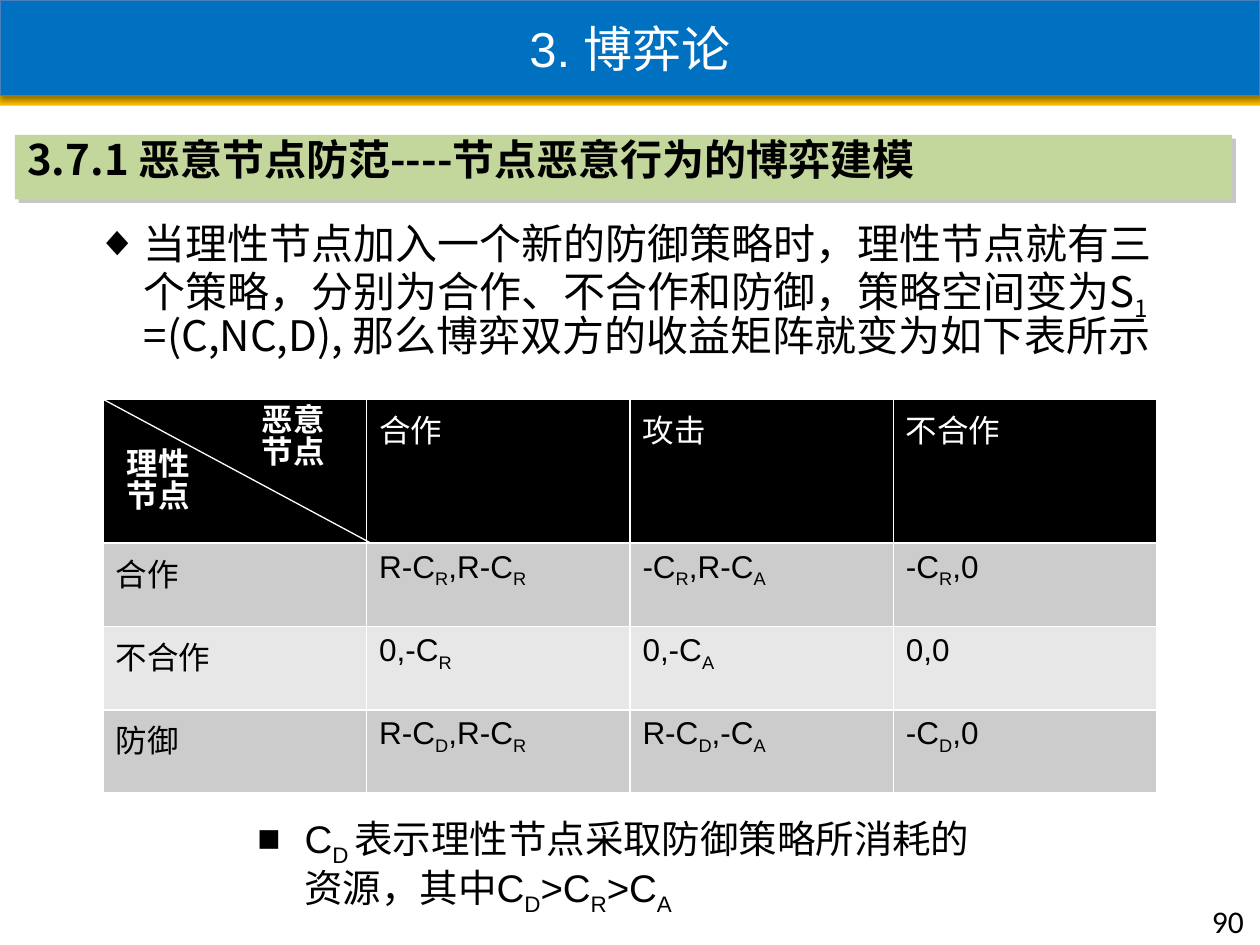
from collections import namedtuple
from lxml.etree import SubElement
from pptx import Presentation
from pptx.dml.color import RGBColor
from pptx.enum.shapes import MSO_CONNECTOR, MSO_SHAPE
from pptx.enum.text import MSO_ANCHOR, PP_ALIGN
from pptx.oxml.ns import qn
from pptx.util import Cm, Pt

Box = namedtuple("Box", "left top width height")
CJK = "Noto Sans CJK SC"
BLACK, WHITE = "000000", "FFFFFF"
HEADER = ["", "合作", "攻击", "不合作"]
PAYOFFS = [
    ["合作", "R-C|R|,R-C|R", "-C|R|,R-C|A", "-C|R|,0"],
    ["不合作", "0,-C|R", "0,-C|A", "0,0"],
    ["防御", "R-C|D|,R-C|R", "R-C|D|,-C|A", "-C|D|,0"],
]


def color(value):
    """Turn a hex string into a colour."""
    return RGBColor.from_string(value)


def lengths(box):
    """Give the four measures of a box in centimetres."""
    return [Cm(value) for value in box]


def add_runs(para, text, size, font, ink=BLACK, bold=False):
    """Write text run by run; every second part between bars is a subscript."""
    for index, part in enumerate(text.split("|")):
        span = para.add_run()
        span.text = part
        span.font.size = Pt(size)
        span.font.name = font
        span.font.bold = bold
        span.font.color.rgb = color(ink)
        properties = span.font._element
        SubElement(properties, qn("a:ea"), typeface=CJK)
        if index % 2:
            properties.set("baseline", "-25000")


def add_text(page, box, text, size, font, spacing=1.0, **style):
    """Place a wrapped text box and return its paragraph."""
    frame = page.shapes.add_textbox(*lengths(box)).text_frame
    frame.word_wrap = True
    para = frame.paragraphs[0]
    para.line_spacing = spacing
    add_runs(para, text, size, font, **style)
    return para


def add_bullet(para, mark, margin):
    """Give a paragraph a hanging bullet."""
    properties = para._p.get_or_add_pPr()
    properties.set("marL", str(Cm(margin)))
    properties.set("indent", str(-Cm(0.95)))
    SubElement(properties, qn("a:buFont"), typeface="Arial")
    SubElement(properties, qn("a:buChar"), char=mark)


def add_shadow(shape, shade, alpha, blur, distance, angle):
    """Give a shape an outer shadow."""
    shape.shadow.inherit = False
    effects = shape._element.spPr.find(qn("a:effectLst"))
    outer = SubElement(effects, qn("a:outerShdw"), blurRad=str(Pt(blur)),
                       dist=str(Pt(distance)), dir=str(angle * 60000),
                       algn="ctr", rotWithShape="0")
    tint = SubElement(outer, qn("a:srgbClr"), val=shade)
    SubElement(tint, qn("a:alpha"), val=str(alpha * 1000))


def add_bar(page, box, fill):
    """Place a plain filled rectangle."""
    bar = page.shapes.add_shape(MSO_SHAPE.RECTANGLE, *lengths(box))
    bar.shadow.inherit = False
    bar.fill.solid()
    bar.fill.fore_color.rgb = color(fill)
    bar.line.fill.background()
    return bar


def build_title(page, box):
    """Format the title as a blue band above a gold strip."""
    add_bar(page, Box(box.left, box.top + box.height, box.width, 0.2), "FFC000")
    title = page.shapes.title
    title.left, title.top, title.width, title.height = lengths(box)
    title.fill.solid()
    title.fill.fore_color.rgb = color("0070C0")
    title.line.color.rgb = color("4B7EBC")
    title.line.width = Pt(0.75)
    add_shadow(title, BLACK, 38, 3.1, 1.6, 90)
    title.text_frame.vertical_anchor = MSO_ANCHOR.MIDDLE
    para = title.text_frame.paragraphs[0]
    para.alignment = PP_ALIGN.CENTER
    add_runs(para, "3. 博弈论", 28, "Arial", WHITE)
    page.shapes._spTree.append(title._element)


def build_heading(page, box):
    """Place the green section heading."""
    bar = add_bar(page, box, "C3D69B")
    add_shadow(bar, "808080", 43, 0, 3, 45)
    bar.text_frame.vertical_anchor = MSO_ANCHOR.TOP
    para = bar.text_frame.paragraphs[0]
    para.alignment = PP_ALIGN.LEFT
    para.line_spacing = 0.85
    add_runs(para, "3.7.1 恶意节点防范----节点恶意行为的博弈建模", 24, CJK, bold=True)


def add_borders(cell):
    """Draw thin white borders around a table cell."""
    properties = cell._tc.get_or_add_tcPr()
    for position, side in enumerate(("lnL", "lnR", "lnT", "lnB")):
        line = SubElement(properties, qn(f"a:{side}"), w=str(Pt(1)))
        SubElement(SubElement(line, qn("a:solidFill")), qn("a:srgbClr"), val=WHITE)
        properties.insert(position, line)


def build_matrix(page, box):
    """Place the payoff table with its split corner cell."""
    rows = [HEADER] + PAYOFFS
    head = 2.9
    table = page.shapes.add_table(len(rows), len(HEADER), *lengths(box)).table
    for column in table.columns:
        column.width = Cm(box.width / len(HEADER))
    for number, texts in enumerate(rows):
        body = (box.height - head) / len(PAYOFFS)
        table.rows[number].height = Cm(body if number else head)
        fill = ("CCCCCC" if number % 2 else "E7E7E7") if number else BLACK
        for cell, text in zip(table.rows[number].cells, texts):
            cell.fill.solid()
            cell.fill.fore_color.rgb = color(fill)
            add_borders(cell)
            if text:
                add_runs(cell.text_frame.paragraphs[0], text, 18, "Arial",
                         BLACK if number else WHITE)
    diagonal = page.shapes.add_connector(
        MSO_CONNECTOR.STRAIGHT, Cm(box.left), Cm(box.top),
        Cm(box.left + 5.4), Cm(box.top + head))
    diagonal.line.color.rgb = color(WHITE)
    diagonal.line.width = Pt(0.75)
    SubElement(diagonal._element.spPr, qn("a:effectLst"))
    for text, right, down, width in (("理性节点", 0.23, 0.9, 2.3),
                                     ("恶意节点", 2.95, 0, 2.08)):
        label = Box(box.left + right, box.top + down, width, 1.8)
        add_text(page, label, text, 18, "Cabin", 0.85, ink=WHITE, bold=True)


def build_statement(page, box):
    """Place the main bullet."""
    text = ("当理性节点加入一个新的防御策略时，理性节点就有三个策略，分别为合作、"
            "不合作和防御，策略空间变为S|1| =(C,NC,D), 那么博弈双方的收益矩阵就变为如下表所示")
    add_bullet(add_text(page, box, text, 24, CJK, 0.85), "◆", 0.95)


def build_note(page, box):
    """Place the note under the table."""
    text = "C|D |表示理性节点采取防御策略所消耗的资源，其中C|D|>C|R|>C|A"
    para = add_text(page, box, text, 22, "Arial", 0.93)
    para.level = 1
    add_bullet(para, "■", 1.6)


def main():
    """Build the deck and save it."""
    deck = Presentation()
    deck.slide_width, deck.slide_height = Cm(25.4), Cm(19.05)
    page = deck.slides.add_slide(deck.slide_layouts[5])
    build_note(page, Box(4.29, 16.31, 16.21, 2.13))
    build_statement(page, Box(1.7, 4.42, 22.6, 3.33))
    add_text(page, Box(24.18, 18.06, 1.19, 1.02), "90", 18, "Calibri")
    build_matrix(page, Box(2.08, 8.05, 21.24, 7.94))
    build_heading(page, Box(0.3, 2.72, 24.54, 1.3))
    build_title(page, Box(0, 0, 25.4, 1.93))
    deck.save("out.pptx")


if __name__ == "__main__":
    main()
